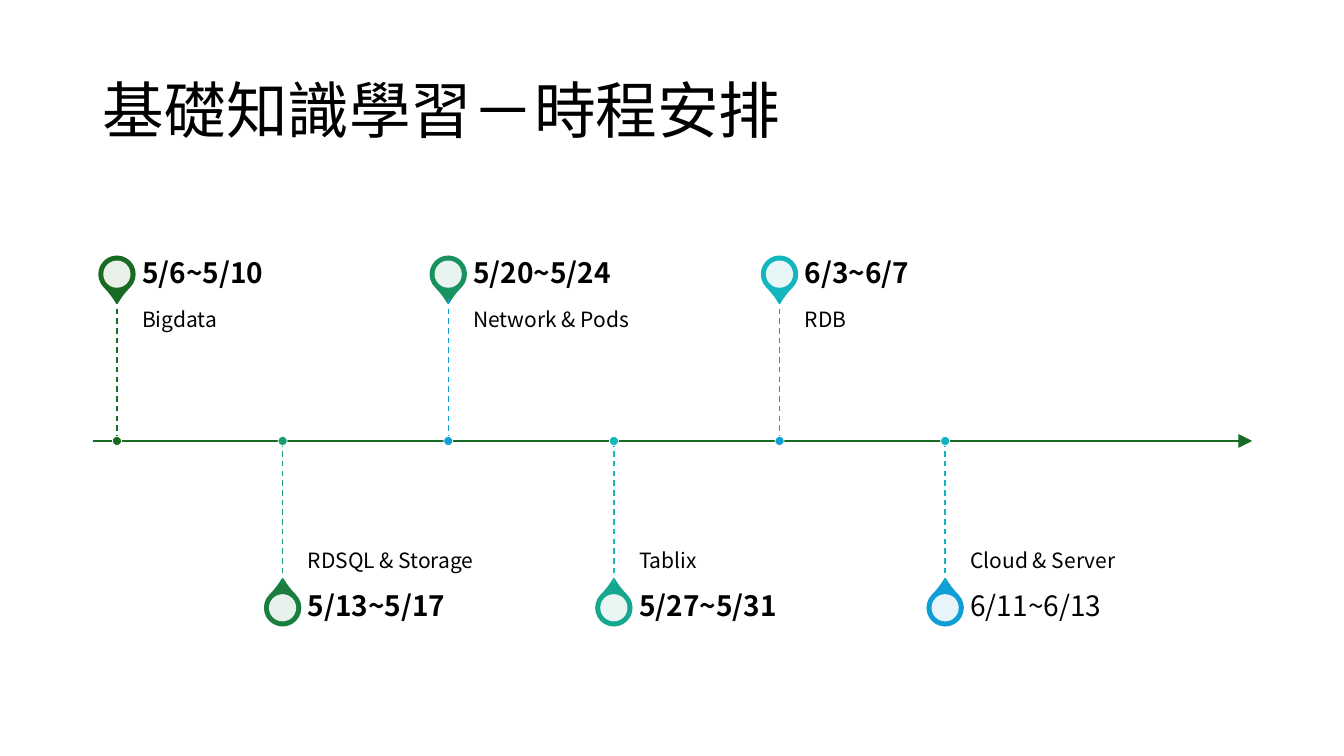
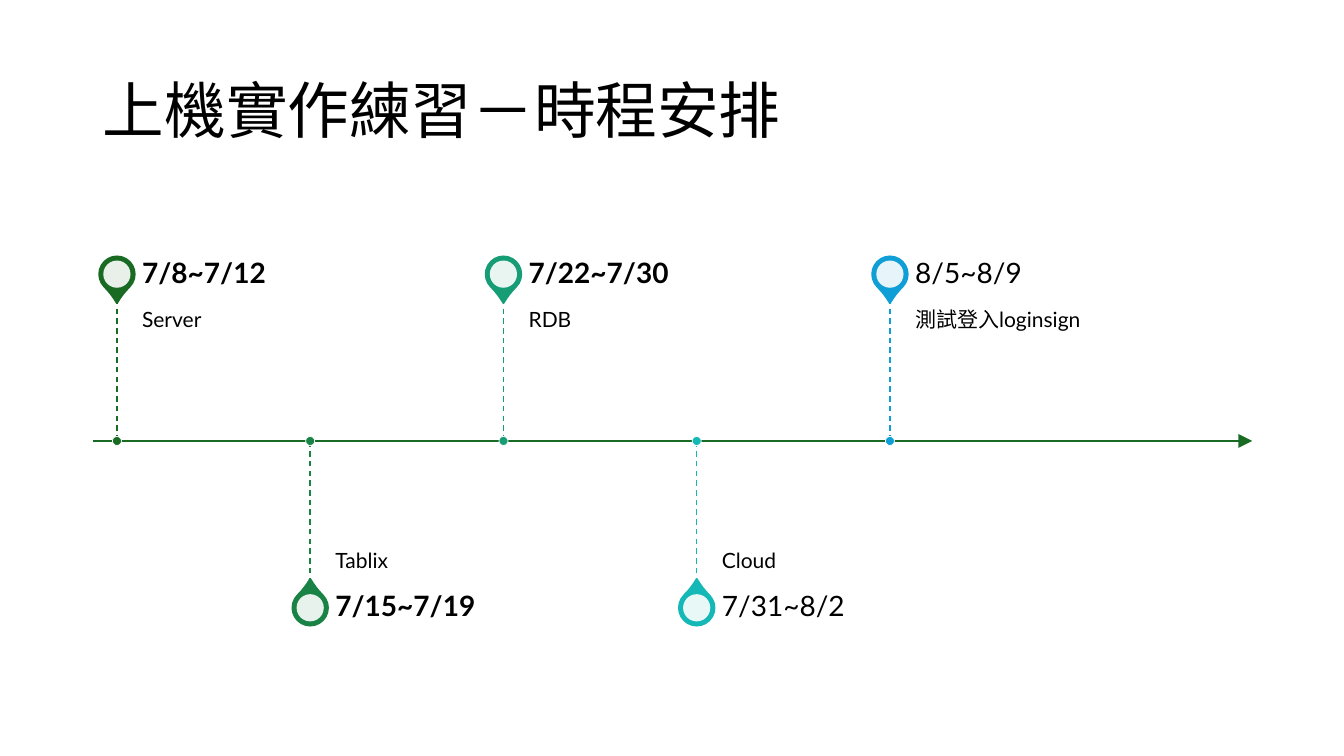
from collections import namedtuple

from pptx import Presentation
from pptx.dml.color import RGBColor as RGB
from pptx.enum.dml import MSO_LINE as Dash
from pptx.enum.shapes import MSO_CONNECTOR as Link, MSO_SHAPE as Kind
from pptx.enum.text import MSO_ANCHOR as Anchor, MSO_AUTO_SIZE as Fit, PP_ALIGN as Align
from pptx.oxml.ns import qn
from pptx.util import Inches, Pt
from lxml.etree import SubElement as Sub

BLACK = RGB(0x00, 0x00, 0x00)
WHITE = RGB(0xFF, 0xFF, 0xFF)
FOREST = RGB(0x19, 0x6B, 0x24)
GREEN = RGB(0x19, 0x7E, 0x3E)
LEAF = RGB(0x19, 0x83, 0x45)
FERN = RGB(0x18, 0x93, 0x60)
JADE = RGB(0x17, 0x9D, 0x76)
MINT = RGB(0x16, 0xA8, 0x8E)
TEAL = RGB(0x14, 0xB8, 0xB7)
AQUA = RGB(0x13, 0xB6, 0xBE)
CYAN = RGB(0x12, 0xB2, 0xC2)
BLUE = RGB(0x0F, 0x9E, 0xD5)

HAN = "Noto Sans CJK TC"
LATO = "Lato"

# Lengths in inches
WIDE, HIGH = 13.33, 7.5
LEFT, SPAN = 0.92, 11.5
AXIS = HIGH * 7 / 12
FIRST = 1.16        # first stop on the axis
STEM = 1.41         # from the axis to a pin's tip
HEAD = 0.49         # height of a date row
PIN, HOLE, DOT = 0.35, 0.27, 0.09
INDENT = 0.25       # from a stem to its text

Stop = namedtuple("Stop", "date topic pin stem bold", defaults=[True])

BASICS = [
    Stop("5/6~5/10", "Bigdata", FOREST, FOREST),
    Stop("5/13~5/17", "RDSQL & Storage", GREEN, JADE),
    Stop("5/20~5/24", "Network & Pods", FERN, BLUE),
    Stop("5/27~5/31", "Tablix", MINT, TEAL),
    Stop("6/3~6/7", "RDB", AQUA, BLUE),
    Stop("6/11~6/13", "Cloud & Server", BLUE, CYAN, False),
]
HANDS_ON = [
    Stop("7/8~7/12", "Server", FOREST, FOREST),
    Stop("7/15~7/19", "Tablix", LEAF, LEAF),
    Stop("7/22~7/30", "RDB", JADE, JADE),
    Stop("7/31~8/2", "Cloud", TEAL, TEAL, False),
    Stop("8/5~8/9", "測試登入loginsign", BLUE, BLUE, False),
]


def write(shape, text, size=15, font=HAN, bold=False, anchor=Anchor.MIDDLE, inset=None):
    """Fill a shape with one left-aligned line; inset is left, top, right, bottom."""
    frame = shape.text_frame
    frame.word_wrap = True
    frame.auto_size = Fit.NONE
    frame.vertical_anchor = anchor
    if inset:
        (frame.margin_left, frame.margin_top,
         frame.margin_right, frame.margin_bottom) = map(Inches, inset)
    line = frame.paragraphs[0]
    line.alignment = Align.LEFT
    line.line_spacing = 0.9
    run = line.add_run()
    run.text = text
    face = run.font
    face.size, face.bold, face.name = Pt(size), bold, font
    face.color.rgb = BLACK
    Sub(run._r.get_or_add_rPr(), qn("a:ea"), typeface=HAN)


def label(slide, x, y, w, h, text, **form):
    box = slide.shapes.add_textbox(*map(Inches, (x, y, w, h)))
    write(box, text, **form)


def line(slide, start, end, color, width, dash=None, arrow=False):
    link = slide.shapes.add_connector(Link.STRAIGHT, *map(Inches, start + end))
    link.line.color.rgb = color
    link.line.width = Pt(width)
    if dash:
        link.line.dash_style = dash
    if arrow:
        Sub(link.line._get_or_add_ln(), qn("a:tailEnd"), type="triangle", w="lg", len="lg")
    Sub(link._element.spPr, qn("a:effectLst"))


def mark(slide, kind, x, y, size, fill, edge=None, width=1.5):
    """Draw a square preset shape centred on x, y."""
    corner = (x - size / 2, y - size / 2, size, size)
    shape = slide.shapes.add_shape(kind, *map(Inches, corner))
    shape.shadow.inherit = False
    shape.fill.solid()
    shape.fill.fore_color.rgb = fill
    if edge is None:
        shape.line.fill.background()
    else:
        shape.line.color.rgb = edge
        shape.line.width = Pt(width)
    return shape


def pin(slide, x, y, color, turn):
    drop = mark(slide, Kind.TEAR, x, y, PIN, color, color)
    drop.adjustments[0] = 1.15
    drop.rotation = turn
    hole = mark(slide, Kind.OVAL, x, y, HOLE, WHITE)
    tint = hole._element.spPr.find(qn("a:solidFill"))[0]
    Sub(tint, qn("a:alpha"), val="90000")


def event(slide, stop, x, width, font, above):
    """Draw a stop: pin, topic, date, stem and dot, above or below the axis."""
    side = -1 if above else 1
    tip = AXIS + side * STEM
    row = tip + side * HEAD / 2
    pin(slide, x, row, stop.pin, 135 if above else 315)
    form = (dict(anchor=Anchor.TOP, inset=(0, 0.1, 0.1, 0.16)) if above
            else dict(anchor=Anchor.BOTTOM, inset=(0, 0.16, 0, 0.1)))
    edge = x + INDENT
    label(slide, edge, min(tip, AXIS), width, STEM, stop.topic, font=font, **form)
    label(slide, edge, row - HEAD / 2, width, HEAD, stop.date, size=20,
          font=font, bold=stop.bold, inset=(0, 0, 0.14, 0))
    line(slide, (x, tip), (x, AXIS), stop.stem, 1, dash=Dash.DASH)
    mark(slide, Kind.OVAL, x, AXIS, DOT, stop.stem, WHITE, 0.5)


def plan(deck, title, stops, font):
    """Add a slide with a title and a timeline of evenly spaced stops."""
    slide = deck.slides.add_slide(deck.slide_layouts[5])
    head = slide.shapes.title
    head.left, head.top, head.width, head.height = map(Inches, (LEFT, 0.4, SPAN, 1.45))
    write(head, title, size=44)
    line(slide, (LEFT, AXIS), (LEFT + SPAN, AXIS), FOREST, 1.5, arrow=True)
    step = SPAN / (len(stops) + 1)
    for i, stop in enumerate(stops):
        event(slide, stop, FIRST + i * step, step * 5 / 3, font, above=i % 2 == 0)


def main():
    deck = Presentation()
    deck.slide_width, deck.slide_height = Inches(WIDE), Inches(HIGH)
    plan(deck, "基礎知識學習－時程安排", BASICS, HAN)
    plan(deck, "上機實作練習－時程安排", HANDS_ON, LATO)
    deck.save("out.pptx")


if __name__ == "__main__":
    main()
